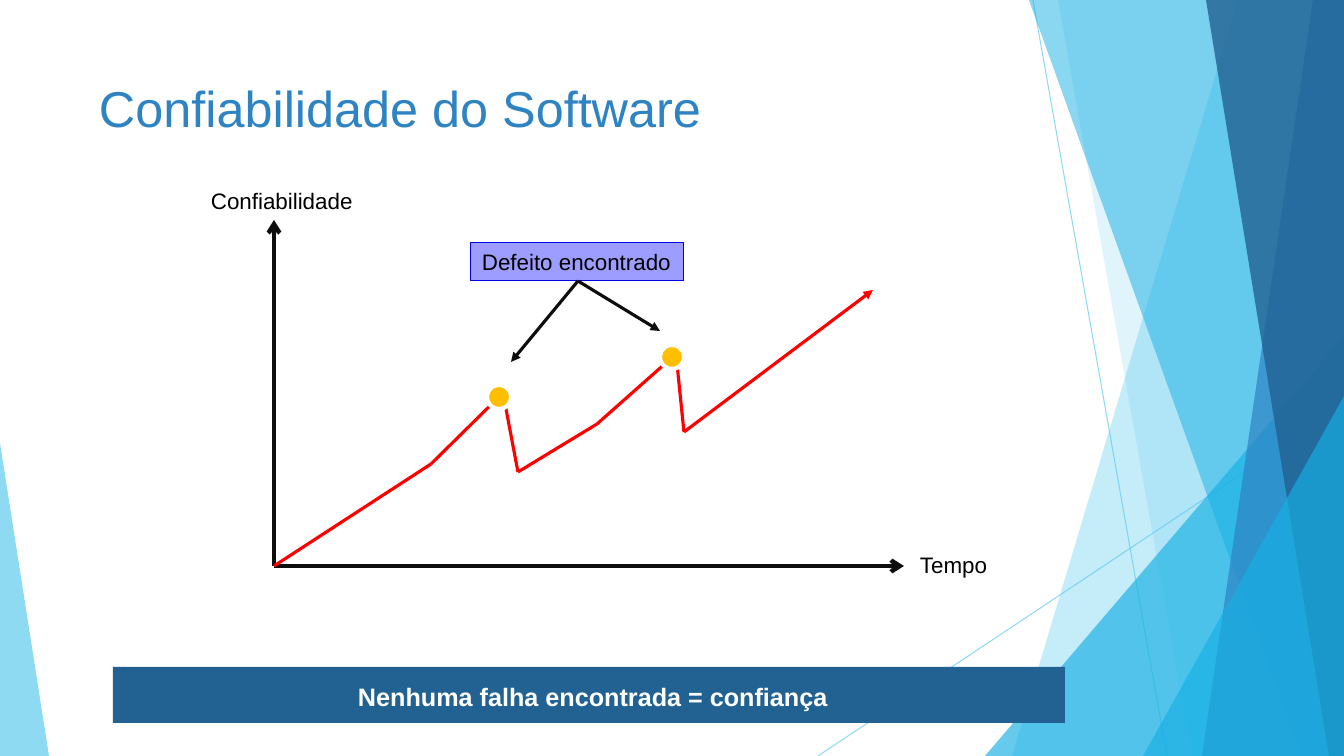
import itertools

import pptx
import pptx.dml.color
import pptx.enum.shapes
import pptx.enum.text
import pptx.oxml.ns
import pptx.oxml.xmlchemy
import pptx.util

PX = 914400 / 100.8
WIDTH, HEIGHT = 1344, 756
FONT = "Arial"
SKY, CYAN, BLUE, NAVY = "5FCBEF", "17B0E4", "2E83C3", "226292"
BLACK, INK, WHITE, RED, LILAC, AMBER = "000000", "0D0D0D", "FFFFFF", "FF0000", "9D9DFF", "FFBF00"

FACET_LINES = [((1033, 0), (1167, HEIGHT)), ((WIDTH, 406), (818, HEIGHT))]
FACETS = [
    ([(1238, 0), (WIDTH, 0), (WIDTH, HEIGHT), (1012, HEIGHT)], SKY, 36),
    ([(1058, 0), (WIDTH, 0), (WIDTH, HEIGHT), (1192, HEIGHT)], SKY, 20),
    ([(WIDTH, 336), (WIDTH, HEIGHT), (985, HEIGHT)], CYAN, 66),
    ([(1029, 0), (WIDTH, 0), (WIDTH, HEIGHT), (1301, HEIGHT)], CYAN, 50),
    ([(1313, 0), (WIDTH, 0), (WIDTH, HEIGHT), (1202, HEIGHT)], BLUE, 70),
    ([(1206, 0), (WIDTH, 0), (WIDTH, HEIGHT), (1329, HEIGHT)], NAVY, 80),
    ([(WIDTH, 396), (WIDTH, HEIGHT), (1143, HEIGHT)], CYAN, 66),
    ([(0, 443), (49, HEIGHT), (0, HEIGHT)], SKY, 70),
]
ORIGIN = (274, 566)
RELIABILITY = [ORIGIN, (431, 464), (503, 393), (518, 472), (597, 424), (676, 354), (684, 432)]
DEFECTS = [(499, 397), (672, 357)]


def px(length):
    """Turn pixels into EMU."""
    return pptx.util.Emu(round(length * PX))


def paint(fill, color, alpha=100):
    """Give a fill a solid colour with an opacity in percent."""
    fill.solid()
    fill.fore_color.rgb = pptx.dml.color.RGBColor.from_string(color)
    if alpha < 100:
        color_element = fill._xPr.find(
            pptx.oxml.ns.qn("a:solidFill") + "/" + pptx.oxml.ns.qn("a:srgbClr"))
        alpha_element = pptx.oxml.xmlchemy.OxmlElement("a:alpha")
        alpha_element.set("val", str(alpha * 1000))
        color_element.append(alpha_element)


def add_line(slide, start, end, color, width, head=None, alpha=100):
    """Draw a straight line, with an arrowhead at its end if one is named."""
    line = slide.shapes.add_connector(
        pptx.enum.shapes.MSO_CONNECTOR.STRAIGHT, *map(px, start + end))
    line.line.width = pptx.util.Pt(width)
    paint(line.line.fill, color, alpha)
    if head:
        tail_end = pptx.oxml.xmlchemy.OxmlElement("a:tailEnd")
        tail_end.set("type", head)
        line.line._get_or_add_ln().append(tail_end)
    line._element.spPr.append(pptx.oxml.xmlchemy.OxmlElement("a:effectLst"))


def add_facet(slide, points, color, alpha):
    """Draw a translucent polygon of the background."""
    builder = slide.shapes.build_freeform(*points[0], scale=PX)
    builder.add_line_segments(points[1:], close=True)
    facet = builder.convert_to_shape()
    facet.shadow.inherit = False
    facet.line.fill.background()
    paint(facet.fill, color, alpha)


def add_shape(slide, kind, box, fill, outline=None, width=0.75):
    """Draw a preset shape with a solid fill and an optional outline."""
    shape = slide.shapes.add_shape(kind, *map(px, box))
    shape.shadow.inherit = False
    paint(shape.fill, fill)
    if outline:
        shape.line.width = pptx.util.Pt(width)
        paint(shape.line.fill, outline)
    else:
        shape.line.fill.background()
    return shape


def write(shape, text, size, color, left=0, top=0, bold=False, middle=False):
    """Put one left-aligned paragraph into a shape."""
    frame = shape.text_frame
    frame.word_wrap = True
    frame.margin_left, frame.margin_top = px(left), px(top)
    frame.margin_right = frame.margin_bottom = 0
    anchor = pptx.enum.text.MSO_ANCHOR
    frame.vertical_anchor = anchor.MIDDLE if middle else anchor.TOP
    paragraph = frame.paragraphs[0]
    paragraph.text = text
    paragraph.alignment = pptx.enum.text.PP_ALIGN.LEFT
    paragraph.font.name = FONT
    paragraph.font.size = pptx.util.Pt(size)
    paragraph.font.bold = bold
    paragraph.font.color.rgb = pptx.dml.color.RGBColor.from_string(color)


def add_text(slide, box, text, size, color, **layout):
    """Add a text box."""
    write(slide.shapes.add_textbox(*map(px, box)), text, size, color, **layout)


def add_background(slide):
    """Draw the thin lines and the facets behind the content."""
    for start, end in FACET_LINES:
        add_line(slide, start, end, SKY, 0.75, alpha=70)
    for points, color, alpha in FACETS:
        add_facet(slide, points, color, alpha)


def add_graph(slide):
    """Draw the axes, the reliability curve and the defects on it."""
    preset = pptx.enum.shapes.MSO_SHAPE
    add_text(slide, (211, 187, 150, 27), "Confiabilidade", 16, BLACK)
    add_text(slide, (920, 551, 80, 27), "Tempo", 16, BLACK)
    for end in [(274, 220), (904, 566)]:
        add_line(slide, ORIGIN, end, INK, 3, "arrow")
    callout = add_shape(slide, preset.RECTANGLE, (471, 243, 213, 38), LILAC, "0000E5")
    write(callout, "Defeito encontrado", 16, BLACK, left=11, middle=True)
    for start, end in itertools.pairwise(RELIABILITY):
        add_line(slide, start, end, RED, 2.25)
    add_line(slide, RELIABILITY[-1], (873, 290), RED, 2.25, "triangle")
    for end in [(511, 362), (660, 331)]:
        add_line(slide, (578, 281), end, INK, 2.25, "triangle")
    for x, y in DEFECTS:
        add_shape(slide, preset.OVAL, (x - 12, y - 12, 24, 24), AMBER, WHITE, 3)


def main():
    """Build the slide and save it."""
    presentation = pptx.Presentation()
    presentation.slide_width, presentation.slide_height = px(WIDTH), px(HEIGHT)
    slide = presentation.slides.add_slide(presentation.slide_layouts[6])
    add_background(slide)
    add_text(slide, (75, 68, 948, 145), "Confiabilidade do Software", 36, BLUE, left=24, top=9)
    add_graph(slide)
    banner = add_shape(
        slide, pptx.enum.shapes.MSO_SHAPE.RECTANGLE, (113, 667, 952, 56), NAVY)
    write(banner, "Nenhuma falha encontrada = confiança", 18, WHITE,
          left=245, top=3, bold=True, middle=True)
    presentation.save("out.pptx")


if __name__ == "__main__":
    main()
